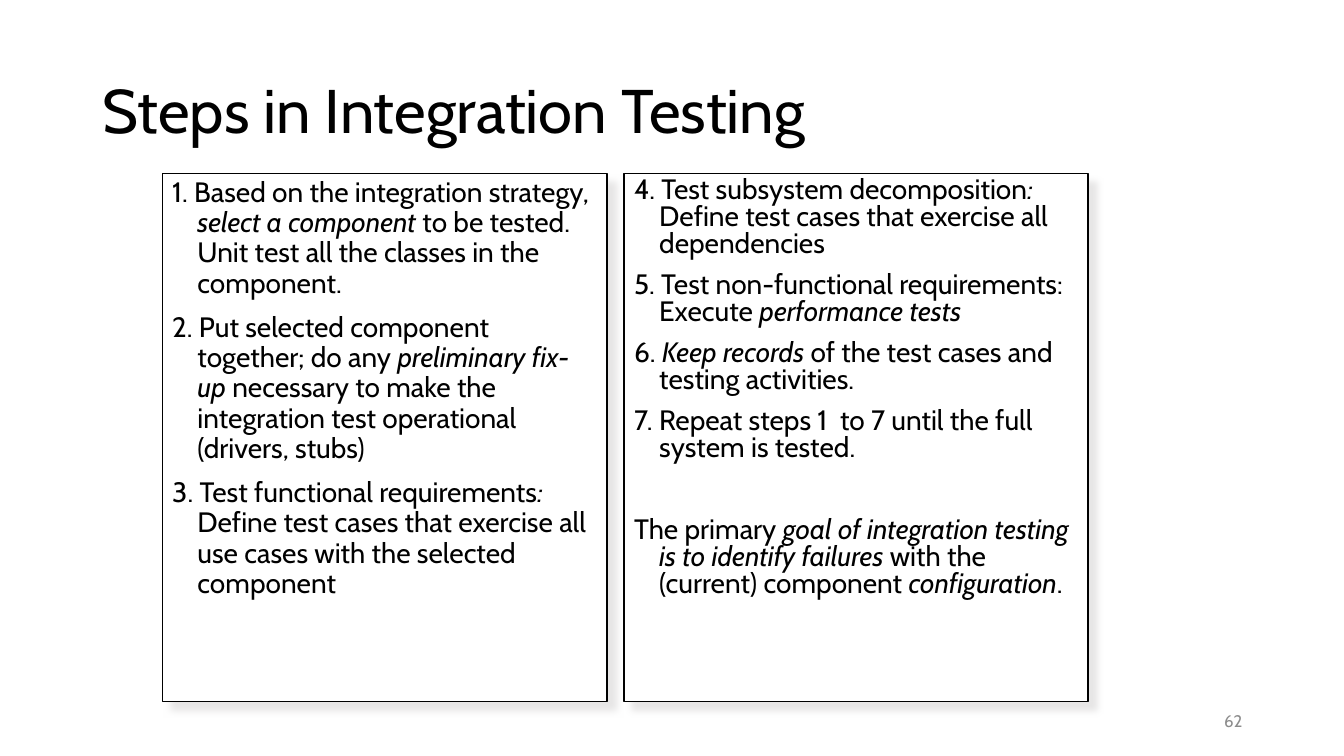
from dataclasses import dataclass

from lxml.etree import SubElement
from pptx import Presentation
from pptx.dml.color import RGBColor
from pptx.enum.shapes import MSO_SHAPE as Preset
from pptx.enum.text import MSO_ANCHOR as Anchor, PP_ALIGN as Align
from pptx.oxml.ns import qn
from pptx.shapes.autoshape import Shape
from pptx.slide import Slide
from pptx.util import Inches, Pt

BLACK = RGBColor(0x00, 0x00, 0x00)
WHITE = RGBColor(0xFF, 0xFF, 0xFF)
GRAY = RGBColor(0x8C, 0x8C, 0x8C)
SHADOW = RGBColor(0xE7, 0xE6, 0xE6)
FONT = "Cabin"
STEP_GAP = 10
GOAL_GAP = 39.5
STEP_INDENT = 0.25


@dataclass(frozen=True)
class Step:
    text: str
    space_before: float = STEP_GAP


@dataclass(frozen=True)
class Panel:
    left: float
    width: float
    line_spacing: float
    steps: tuple[Step, ...]
    top: float = 1.72
    height: float = 5.24


PANELS = (
    Panel(1.61, 4.41, 0.9, (
        Step("1. Based on the integration strategy, *select a component *to be tested. "
             "Unit test all the classes in the component."),
        Step("2. Put selected component together; do any* preliminary fix-up *necessary "
             "to make the integration test operational (drivers, stubs)"),
        Step("3. Test functional requirements*: *Define test cases that exercise all "
             "use cases with the selected component"),
    )),
    Panel(6.19, 4.6, 0.8, (
        Step("4. Test subsystem decomposition*: *Define test cases that exercise all dependencies"),
        Step("5. Test non-functional requirements: Execute *performance tests*"),
        Step("6. *Keep records *of the test cases and testing activities."),
        Step("7. Repeat steps 1  to 7 until the full system is tested."),
        Step("The primary* goal of integration testing is to identify failures *with the "
             "(current) component *configuration*.", GOAL_GAP),
    )),
)


def write(shape: Shape, steps: tuple[Step, ...], *, size: float, color: RGBColor = BLACK,
          align: Align = Align.LEFT, anchor: Anchor = Anchor.MIDDLE,
          line_spacing: float = 1.0, indent: float = 0) -> None:
    frame = shape.text_frame
    frame.word_wrap = True
    frame.vertical_anchor = anchor
    for index, step in enumerate(steps):
        paragraph = frame.add_paragraph() if index else frame.paragraphs[0]
        paragraph.alignment = align
        paragraph.line_spacing = line_spacing
        paragraph.space_before = Pt(step.space_before if index else 0)
        if indent:
            properties = paragraph._p.get_or_add_pPr()
            properties.set("marL", str(Inches(indent)))
            properties.set("indent", str(Inches(-indent)))
        for part, words in enumerate(step.text.split("*")):
            if words:
                run = paragraph.add_run()
                run.text = words
                run.font.name = FONT
                run.font.size = Pt(size)
                run.font.color.rgb = color
                run.font.italic = part % 2 == 1


def add_label(slide: Slide, left: float, top: float, width: float, height: float) -> Shape:
    return slide.shapes.add_textbox(Inches(left), Inches(top), Inches(width), Inches(height))


def cast_shadow(shape: Shape) -> None:
    shape.shadow.inherit = False
    effects = shape._element.spPr.find(qn("a:effectLst"))
    shadow = SubElement(effects, qn("a:outerShdw"), blurRad=str(Pt(5)), dist=str(Pt(8.5)),
                        dir=str(45 * 60000), algn="tl", rotWithShape="0")
    SubElement(shadow, qn("a:srgbClr"), val=str(SHADOW))


def draw_panel(slide: Slide, panel: Panel) -> None:
    box = slide.shapes.add_shape(Preset.RECTANGLE, Inches(panel.left), Inches(panel.top),
                                 Inches(panel.width), Inches(panel.height))
    box.fill.solid()
    box.fill.fore_color.rgb = WHITE
    box.line.color.rgb = BLACK
    box.line.width = Pt(1)
    cast_shadow(box)
    write(box, panel.steps, size=20, anchor=Anchor.TOP,
          line_spacing=panel.line_spacing, indent=STEP_INDENT)


def main() -> None:
    deck = Presentation()
    deck.slide_width = Inches(13.33)
    deck.slide_height = Inches(7.5)
    slide = deck.slides.add_slide(deck.slide_layouts[6])

    title = add_label(slide, 0.92, 0.4, 11.5, 1.45)
    write(title, (Step("Steps in Integration Testing"),), size=44, line_spacing=0.9)
    for panel in PANELS:
        draw_panel(slide, panel)
    page_number = add_label(slide, 9.42, 6.95, 3, 0.4)
    write(page_number, (Step("62"),), size=12, color=GRAY, align=Align.RIGHT)

    deck.save("out.pptx")


if __name__ == "__main__":
    main()
